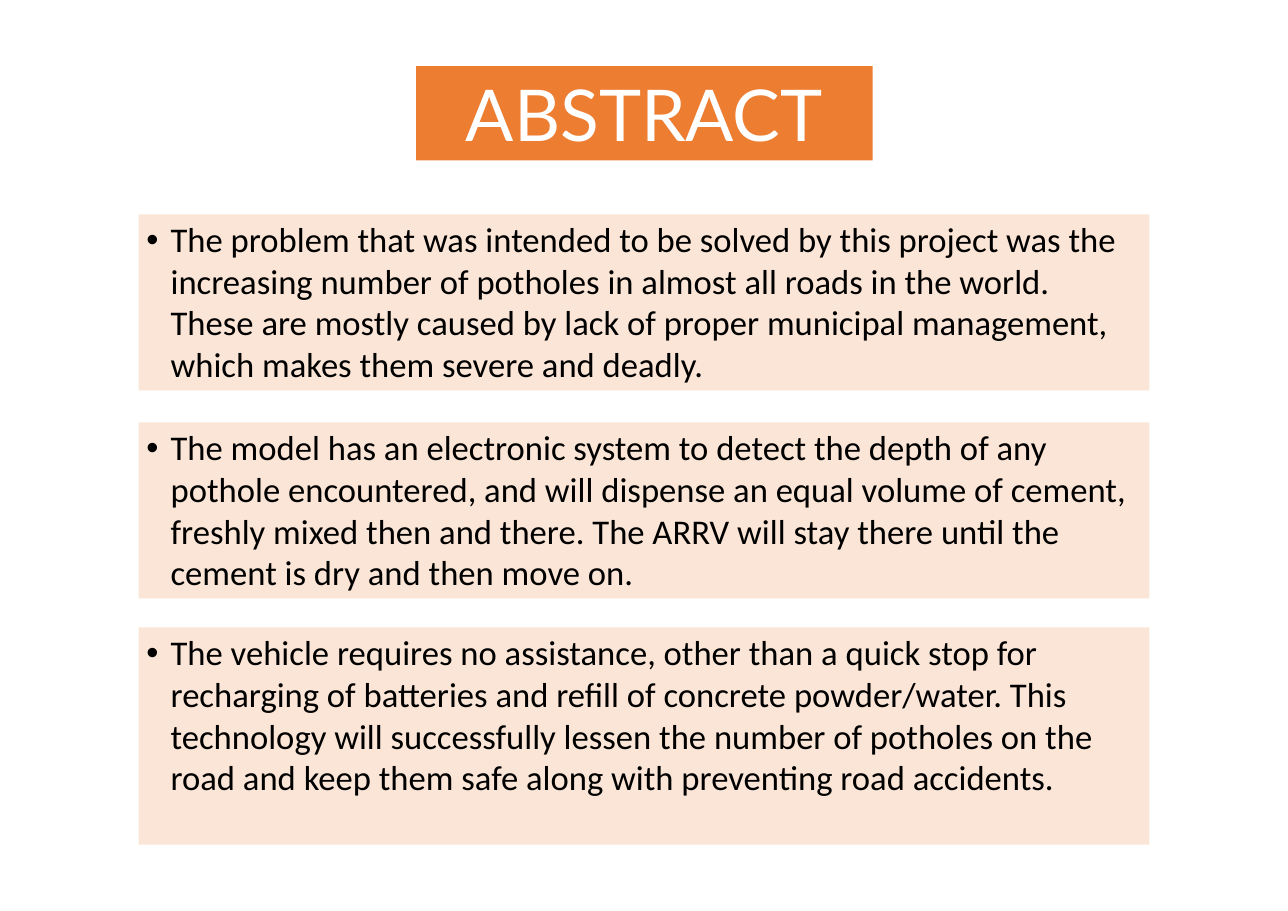
from lxml import etree
from pptx import Presentation
from pptx import util as u
from pptx.dml.color import RGBColor
from pptx.enum import text
from pptx.oxml.ns import qn

COLORS = {"title": "ED7D31", "panel": "FBE5D6", "light": "FFFFFF", "dark": "000000"}
FRAME = {
    "word_wrap": True,
    "auto_size": text.MSO_AUTO_SIZE.NONE,
    "vertical_anchor": text.MSO_ANCHOR.TOP,
    "margin_left": u.Inches(0.1),
    "margin_right": u.Inches(0.1),
    "margin_top": u.Inches(0.05),
    "margin_bottom": u.Inches(0.05),
}
TITLE = {"name": "Lato", "size": u.Pt(66), "bold": False}
BODY = {"name": "Calibri", "size": u.Pt(32), "bold": False}
PANELS = [
    (2.75, 2.26, "The problem that was intended to be solved by this project was the "
     "increasing number of potholes in almost all roads in the world. These are mostly "
     "caused by lack of proper municipal management, which makes them severe and deadly."),
    (5.42, 2.26, "The model has an electronic system to detect the depth of any pothole "
     "encountered, and will dispense an equal volume of cement, freshly mixed then and "
     "there. The ARRV will stay there until the cement is dry and then move on."),
    (8.05, 2.79, "The vehicle requires no assistance, other than a quick stop for "
     "recharging of batteries and refill of concrete powder/water. This technology will "
     "successfully lessen the number of potholes on the road and keep them safe along "
     "with preventing road accidents."),
]


def apply(obj, values):
    for name, value in values.items():
        setattr(obj, name, value)


class Deck:
    """Style and current slide, with one method per kind of element."""

    def __init__(self, prs):
        self.s = prs.slides.add_slide(prs.slide_layouts.get_by_name("Comparison"))
        self.bodies = [sp for sp in self.s.placeholders if sp != self.s.shapes.title]

    def block(self, sp, box, fill, color, font, align, content):
        apply(sp, dict(zip(("left", "top", "width", "height"), map(u.Inches, box))))
        sp.fill.solid()
        sp.fill.fore_color.rgb = RGBColor.from_string(COLORS[fill])
        tf = sp.text_frame
        apply(tf, FRAME)
        p = tf.paragraphs[0]
        apply(p, {"alignment": align, "space_before": u.Pt(0), "line_spacing": 1.0})
        r = p.add_run()
        r.text = content
        apply(r.font, font)
        r.font.color.rgb = RGBColor.from_string(COLORS[color])
        return p

    def title(self, box, content):
        self.block(self.s.shapes.title, box, "title", "light", TITLE,
                   text.PP_ALIGN.CENTER, content)

    def bullet(self, box, content):
        p = self.block(self.bodies.pop(0), box, "panel", "dark", BODY,
                       text.PP_ALIGN.LEFT, content)
        pPr = p._p.get_or_add_pPr()
        indent = u.Inches(0.31)
        pPr.set("marL", str(indent))
        pPr.set("indent", str(-indent))
        etree.SubElement(pPr, qn("a:buFont"), typeface="Arial")
        etree.SubElement(pPr, qn("a:buChar"), char="•")

    def drop_unused(self):
        for sp in self.bodies:
            sp._element.getparent().remove(sp._element)


def main():
    prs = Presentation()
    prs.slide_width, prs.slide_height = u.Inches(16.53), u.Inches(11.69)
    deck = Deck(prs)
    deck.title((5.34, 0.85, 5.86, 1.21), "ABSTRACT")
    for top, height, content in PANELS:
        deck.bullet((1.78, top, 12.97, height), content)
    deck.drop_unused()
    prs.save("out.pptx")


if __name__ == "__main__":
    main()
